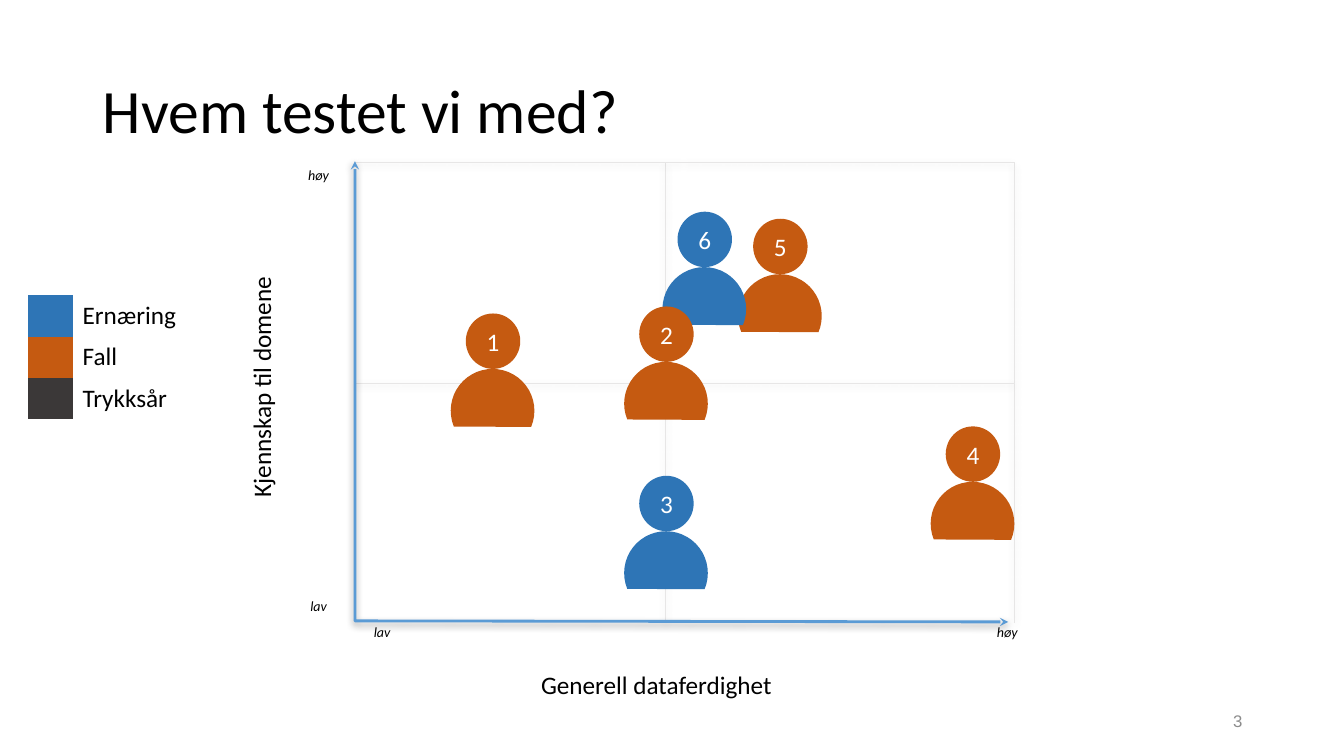
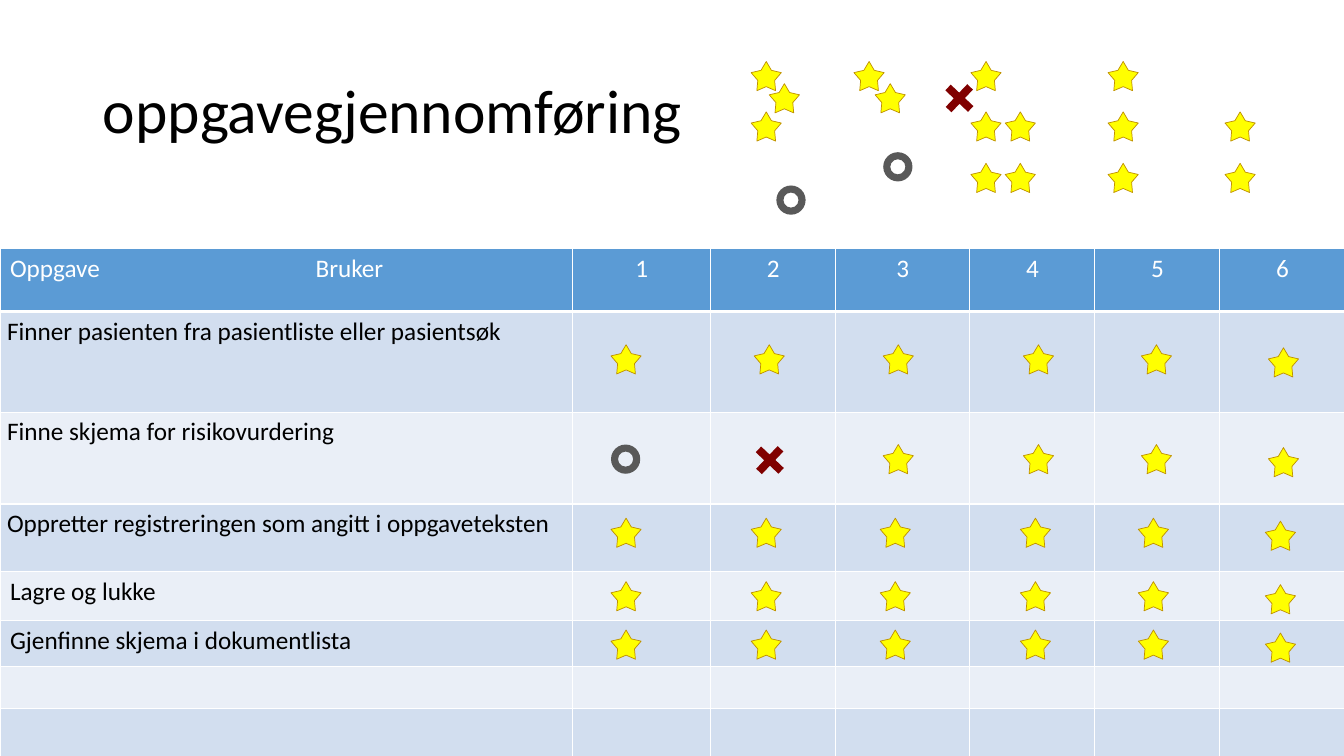
from lxml.etree import SubElement
from pptx import Presentation
from pptx.dml.color import RGBColor
from pptx.enum.dml import MSO_LINE
from pptx.enum.shapes import MSO_CONNECTOR, MSO_SHAPE
from pptx.enum.text import MSO_ANCHOR, MSO_AUTO_SIZE, PP_ALIGN
from pptx.oxml.ns import qn
from pptx.util import Inches, Pt

COLORS = {
    "text": "000000", "white": "FFFFFF", "number": "8C8C8C",
    "nutrition": "2E75B6", "fall": "C55A11", "pressure": "3B3838",
    "axis": "5B9BD5", "grid": "E7E6E6",
    "header": "5B9BD5", "band_dark": "D2DEEF", "band_light": "EAEFF7",
    "star": "FFFF00", "star_line": "BF9000", "cross": "800000", "ring": "595959",
}
ALIGN = {"l": PP_ALIGN.LEFT, "c": PP_ALIGN.CENTER, "r": PP_ALIGN.RIGHT}
NO_STYLE_NO_GRID = "{2D5ABB26-0587-4C30-8999-92F81FD0307C}"


def rgb(name):
    return RGBColor.from_string(COLORS[name])


def inches(*values):
    return [Inches(v) for v in values]


def write(tf, text, size=18, color="text", font="Calibri", italic=False,
          align="l", spacing=None):
    """Put one formatted paragraph in a text frame and return it."""
    p = tf.paragraphs[0]
    p.alignment = ALIGN[align]
    if spacing:
        p.line_spacing = spacing
    r = p.add_run()
    r.text = text
    r.font.size = Pt(size)
    r.font.name = font
    r.font.italic = italic
    r.font.color.rgb = rgb(color)
    return p


def drop_shadow(sp):
    sp_pr = sp._element.spPr
    effects = sp_pr.find(qn("a:effectLst"))
    if effects is None:
        effects = SubElement(sp_pr, qn("a:effectLst"))
    shadow = SubElement(effects, qn("a:outerShdw"), blurRad=str(Pt(5)),
                        dist=str(Pt(1.6)), dir="5400000", rotWithShape="0")
    clr = SubElement(shadow, qn("a:srgbClr"), val=COLORS["text"])
    SubElement(clr, qn("a:alpha"), val="38000")


def cell_borders(cell, color, bottom=1):
    tc_pr = cell._tc.get_or_add_tcPr()
    for side, width in (("L", 1), ("R", 1), ("T", 1), ("B", bottom)):
        ln = SubElement(tc_pr, qn(f"a:ln{side}"), w=str(Pt(width)))
        fill = SubElement(ln, qn("a:solidFill"))
        SubElement(fill, qn("a:srgbClr"), val=COLORS[color])


class Deck:
    def __init__(self):
        self.prs = Presentation()
        self.prs.slide_width, self.prs.slide_height = inches(13.33, 7.5)
        self.s = None

    def slide(self, title):
        self.s = self.prs.slides.add_slide(self.prs.slide_layouts[5])
        sp = self.s.shapes.title
        sp.left, sp.top, sp.width, sp.height = inches(0.92, 0.4, 11.5, 1.45)
        tf = sp.text_frame
        tf.auto_size = MSO_AUTO_SIZE.NONE
        tf.vertical_anchor = MSO_ANCHOR.MIDDLE
        write(tf, title, size=44, spacing=0.9)

    def text(self, text, left, top, width, height, wrap=False, rotation=0,
             anchor=MSO_ANCHOR.TOP, **fmt):
        sp = self.s.shapes.add_textbox(*inches(left, top, width, height))
        sp.rotation = rotation
        tf = sp.text_frame
        tf.word_wrap = wrap
        tf.vertical_anchor = anchor
        write(tf, text, **fmt)

    def shape(self, kind, left, top, width, height, fill, line=None,
              adj=None, rotation=0, shapes=None):
        shapes = self.s.shapes if shapes is None else shapes
        sp = shapes.add_shape(kind, *inches(left, top, width, height))
        sp.shadow.inherit = False
        sp.rotation = rotation
        sp.fill.solid()
        sp.fill.fore_color.rgb = rgb(fill)
        if line:
            sp.line.color.rgb = rgb(line)
            sp.line.width = Pt(0.5)
        else:
            sp.line.fill.background()
        if adj is not None:
            sp.adjustments[0] = adj
        return sp

    def grid_line(self, x1, y1, x2, y2):
        ln = self.s.shapes.add_connector(MSO_CONNECTOR.STRAIGHT, *inches(x1, y1, x2, y2))
        ln.line.color.rgb = rgb("grid")
        ln.line.width = Pt(0.25)
        ln.line.dash_style = MSO_LINE.ROUND_DOT
        drop_shadow(ln)

    def axes(self, *points):
        """Draw one open line through the points, with an arrowhead at each end."""
        start, *rest = [inches(*pt) for pt in points]
        builder = self.s.shapes.build_freeform(*start)
        builder.add_line_segments(rest, close=False)
        sp = builder.convert_to_shape()
        sp.shadow.inherit = False
        sp.fill.background()
        sp.line.color.rgb = rgb("axis")
        sp.line.width = Pt(2)
        for end in ("a:headEnd", "a:tailEnd"):
            SubElement(sp.line._get_or_add_ln(), qn(end), type="stealth")
        drop_shadow(sp)

    def person(self, number, left, top, fill):
        group = self.s.shapes.add_group_shape()
        self.shape(MSO_SHAPE.CHORD, left, top + 0.55, 0.83, 0.83, fill,
                   rotation=112.8, shapes=group.shapes)
        head = self.shape(MSO_SHAPE.OVAL, left + 0.15, top, 0.54, 0.55, fill,
                          shapes=group.shapes)
        tf = head.text_frame
        tf.margin_left = tf.margin_right = tf.margin_top = tf.margin_bottom = 0
        tf.word_wrap = False
        tf.vertical_anchor = MSO_ANCHOR.MIDDLE
        write(tf, str(number), color="white", align="c")

    def table(self, left, top, cols, rows):
        frame = self.s.shapes.add_table(
            len(rows), len(cols), *inches(left, top, sum(cols), sum(rows)))
        table = frame.table
        table.first_row = table.horz_banding = False
        table._tbl.tblPr.find(qn("a:tableStyleId")).text = NO_STYLE_NO_GRID
        for col, width in zip(table.columns, cols):
            col.width = Inches(width)
        for row, height in zip(table.rows, rows):
            row.height = Inches(height)
        return table

    def star(self, left, top):
        self.shape(MSO_SHAPE.STAR_5_POINT, left, top, 0.3, 0.29, "star",
                   line="star_line", adj=0.279)

    def ring(self, left, top):
        self.shape(MSO_SHAPE.DONUT, left, top, 0.29, 0.29, "ring", adj=0.242)

    def cross(self, left, top):
        self.shape(MSO_SHAPE.CROSS, left, top, 0.31, 0.31, "cross",
                   adj=0.374, rotation=43.5)


def participants_slide(deck):
    left, middle, right = 3.52, 6.6, 10.06
    top, center, bottom = 1.61, 3.8, 6.17
    deck.slide("Hvem testet vi med?")
    for x in (middle, right):
        deck.grid_line(x, top, x, bottom)
    for y in (top, center):
        deck.grid_line(left, y, right, y)
    deck.axes((left, 1.6), (left, 6.16), (10, bottom))

    deck.text("Kjennskap til domene", 1.38, 3.64, 2.42, 0.4, rotation=270, align="c")
    deck.text("Generell dataferdighet", 5.25, 6.59, 2.52, 0.4, align="c")
    for label, x, y in (("høy", 9.42, 6.14), ("lav", 3.22, 6.14),
                        ("høy", 2.59, 1.6), ("lav", 2.59, 5.88)):
        deck.text(label, x, y, 1.14, 0.27, wrap=True, size=10, italic=True, align="c")
    deck.text("3", 9.42, 6.95, 3, 0.4, wrap=True, anchor=MSO_ANCHOR.MIDDLE,
              size=12, font="Arial", color="number", align="r")

    for number, x, y, topic in (
            (5, 7.32, 2.17, "fall"), (1, 4.47, 3.11, "fall"),
            (6, 6.57, 2.1, "nutrition"), (3, 6.19, 4.72, "nutrition"),
            (4, 9.23, 4.23, "fall"), (2, 6.19, 3.04, "fall")):
        deck.person(number, x, y, topic)

    legend = (("nutrition", "Ernæring"), ("fall", "Fall"), ("pressure", "Trykksår"))
    table = deck.table(0.28, 2.93, [0.44, 1.67], [0.41] * len(legend))
    for i, (color, label) in enumerate(legend):
        swatch, name = table.cell(i, 0), table.cell(i, 1)
        swatch.fill.solid()
        swatch.fill.fore_color.rgb = rgb(color)
        name.fill.background()
        write(name.text_frame, label)


def results_slide(deck):
    deck.slide("oppgavegjennomføring")
    tasks = ["Finner pasienten fra pasientliste eller pasientsøk",
             "Finne skjema for risikovurdering",
             "Oppretter registreringen som angitt i oppgaveteksten",
             "Lagre og lukke", "Gjenfinne skjema i dokumentlista", "", ""]
    table = deck.table(0, 2.46, [5.68, 1.37, 1.24, 1.33, 1.24, 1.24, 1.24],
                       [0.63, 1, 0.91, 0.67, 0.49, 0.45, 0.42, 0.48])
    for i, row in enumerate(table.rows):
        fill = "header" if i == 0 else "band_dark" if i % 2 else "band_light"
        for cell in row.cells:
            cell_borders(cell, "white", bottom=3 if i == 0 else 1)
            cell.fill.solid()
            cell.fill.fore_color.rgb = rgb(fill)

    p = write(table.cell(0, 0).text_frame, "Oppgave\tBruker", color="white")
    tabs = SubElement(p._p.get_or_add_pPr(), qn("a:tabLst"))
    SubElement(tabs, qn("a:tab"), pos=str(Inches(3.03)), algn="l")
    for user in range(1, 7):
        write(table.cell(0, user).text_frame, str(user), color="white", align="c")
    for i, task in enumerate(tasks, 1):
        if not task:
            continue
        cell = table.cell(i, 0)
        spaced = i <= 3
        if spaced:
            cell.margin_left = cell.margin_right = Inches(0.07)
            cell.margin_top = cell.margin_bottom = 0
        write(cell.text_frame, task, spacing=1.15 if spaced else None)

    marks = {"*": deck.star, "o": deck.ring, "x": deck.cross}
    outcomes = ["******", "ox****", "******", "******", "******"]
    user_lefts = [6.06, 7.48, 8.76, 10.15, 11.32, 12.58]
    task_tops = [3.42, 4.41, 5.14, 5.77, 6.25]
    for i, (top, outcome) in enumerate(zip(task_tops, outcomes)):
        for j, (left, mark) in enumerate(zip(user_lefts, outcome)):
            shift = 0.03 if i >= 2 and j else 0
            drop = 0.03 if j == 5 else 0
            marks[mark](left - shift, top + drop)

    deck.cross(9.36, 0.82)
    deck.ring(8.76, 1.51)
    deck.ring(7.7, 1.84)
    spare_tops = [0.61, 1.11, 1.62]
    for left, tops in ((7.63, [0.83]), (7.45, spare_tops[:2]), (8.47, spare_tops[:1]),
                       (8.68, [0.83]), (9.63, spare_tops), (9.97, spare_tops[1:]),
                       (10.99, spare_tops), (12.15, spare_tops[1:])):
        for top in tops:
            deck.star(left, top)


def main():
    deck = Deck()
    participants_slide(deck)
    results_slide(deck)
    deck.prs.save("out.pptx")


if __name__ == "__main__":
    main()
